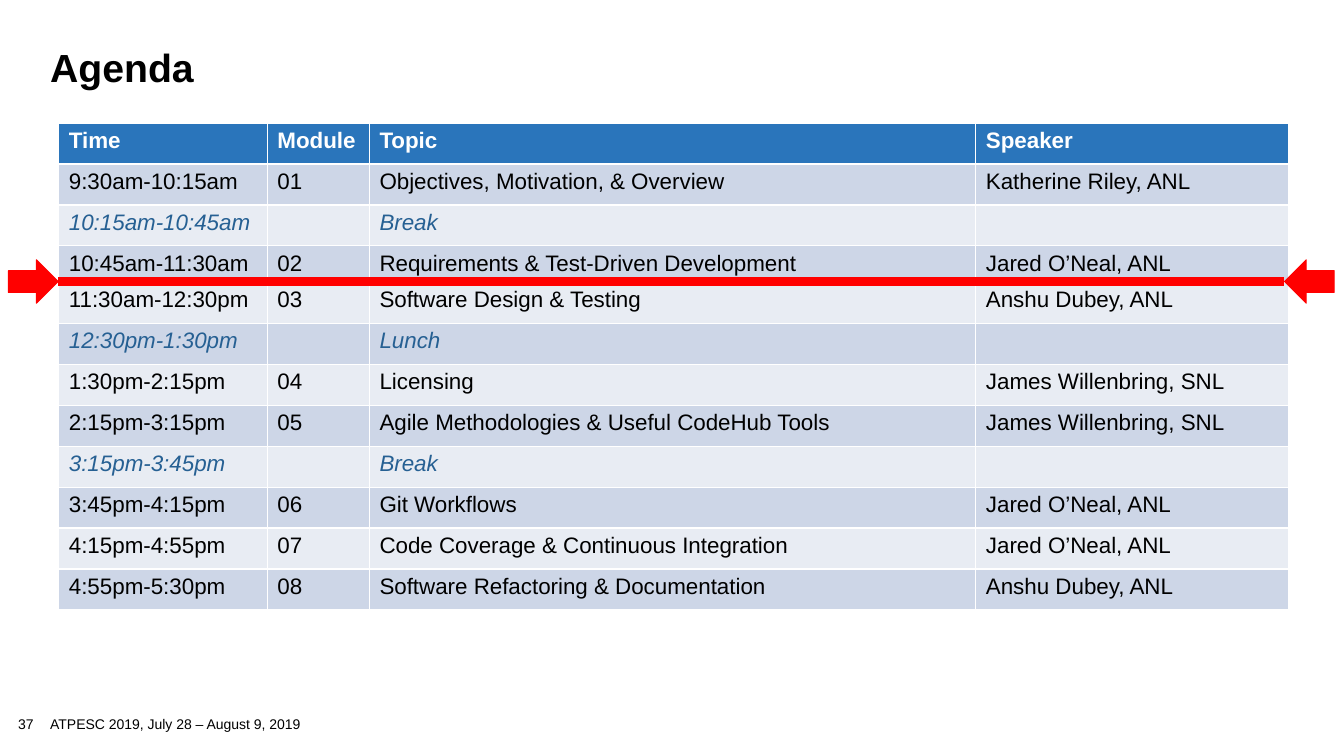
from dataclasses import dataclass

from lxml.etree import SubElement
from pptx import Presentation
from pptx.dml.color import RGBColor
from pptx.enum.shapes import MSO_CONNECTOR, MSO_SHAPE
from pptx.enum.text import MSO_ANCHOR
from pptx.oxml.ns import qn
from pptx.util import Pt


@dataclass(frozen=True)
class Theme:
    """Colours, font and type sizes of the deck."""
    font: str = "Arial"
    title: float = 28
    body: float = 16
    foot: float = 10
    ink: str = "000000"
    white: str = "FFFFFF"
    head: str = "2A75BB"
    dark: str = "CDD6E7"
    light: str = "E8ECF3"
    pause: str = "266093"
    mark: str = "FF0000"


THEME = Theme()
WIDTHS = (149, 72.9, 433.2, 223.6)
HEIGHT, SHORT = 29.2, 18.7
TIGHT = 3
AGENDA = (
    ("Time", "Module", "Topic", "Speaker"),
    ("9:30am-10:15am", "01", "Objectives, Motivation, & Overview", "Katherine Riley, ANL"),
    ("10:15am-10:45am", "", "Break", ""),
    ("10:45am-11:30am", "02", "Requirements & Test-Driven Development", "Jared O’Neal, ANL"),
    ("11:30am-12:30pm", "03", "Software Design & Testing", "Anshu Dubey, ANL"),
    ("12:30pm-1:30pm", "", "Lunch", ""),
    ("1:30pm-2:15pm", "04", "Licensing", "James Willenbring, SNL"),
    ("2:15pm-3:15pm", "05", "Agile Methodologies & Useful CodeHub Tools", "James Willenbring, SNL"),
    ("3:15pm-3:45pm", "", "Break", ""),
    ("3:45pm-4:15pm", "06", "Git Workflows", "Jared O’Neal, ANL"),
    ("4:15pm-4:55pm", "07", "Code Coverage & Continuous Integration", "Jared O’Neal, ANL"),
    ("4:55pm-5:30pm", "08", "Software Refactoring & Documentation", "Anshu Dubey, ANL"),
)


def apply(item, form):
    """Set each value of a format dict on an item."""
    for key, value in form.items():
        setattr(item, key, value)


def write(para, text, size, color, **form):
    """Add one styled run to a paragraph."""
    run = para.add_run()
    run.text = text
    apply(run.font, {"name": THEME.font, "size": Pt(size), **form})
    run.font.color.rgb = RGBColor.from_string(color)


def label(slide, box, text, size, frame=None, para=None, **form):
    """Place a line of text in a box."""
    body = slide.shapes.add_textbox(*map(Pt, box)).text_frame
    apply(body, {"word_wrap": True, **(frame or {})})
    apply(body.paragraphs[0], para or {})
    write(body.paragraphs[0], text, size, THEME.ink, **form)


def footer(slide, box):
    """Place the page number and event name."""
    left, top, width, height = box
    bare = dict.fromkeys(("margin_left", "margin_top", "margin_right", "margin_bottom"), 0)
    label(slide, (left, top + 3, 40, 11.5), "37", THEME.foot, bare, {"line_spacing": 0.9})
    label(slide, (left + 15.8, top, width - 15.8, height),
          "ATPESC 2019, July 28 – August 9, 2019", THEME.foot,
          {"vertical_anchor": MSO_ANCHOR.MIDDLE})


def agenda(slide, box):
    """Fill a box with the table of talks."""
    table = slide.shapes.add_table(len(AGENDA), len(WIDTHS), *map(Pt, box)).table
    for column, width in zip(table.columns, WIDTHS):
        column.width = Pt(width)
    for index, texts in enumerate(AGENDA):
        table.rows[index].height = Pt(SHORT if index == TIGHT else HEIGHT)
        first, pause = index == 0, not texts[1]
        fill = THEME.head if first else THEME.dark if index % 2 else THEME.light
        color = THEME.white if first else THEME.pause if pause else THEME.ink
        for place, text in enumerate(texts):
            cell = table.cell(index, place)
            cell.fill.solid()
            cell.fill.fore_color.rgb = RGBColor.from_string(fill)
            if text:
                write(cell.text_frame.paragraphs[0], text, THEME.body, color,
                      bold=first, italic=pause)


def marker(slide, box):
    """Draw a red rule across a box with an arrow at each end."""
    left, top, width, height = box
    red, arm = RGBColor.from_string(THEME.mark), 35.5
    start, end, mid = left + arm, left + width - arm, top + height / 2
    rule = slide.shapes.add_connector(MSO_CONNECTOR.STRAIGHT, *map(Pt, (start, mid, end, mid)))
    SubElement(rule.element.spPr, qn("a:effectLst"))
    rule.line.color.rgb = red
    rule.line.width = Pt(6)
    for edge, turn in ((left, 0), (end, 180)):
        arrow = slide.shapes.add_shape(MSO_SHAPE.RIGHT_ARROW, *map(Pt, (edge, top, arm, height)))
        arrow.rotation = turn
        arrow.shadow.inherit = False
        arrow.fill.solid()
        arrow.fill.fore_color.rgb = red
        arrow.line.color.rgb = red
        arrow.line.width = Pt(0.75)


def main():
    """Build and save the agenda slide."""
    deck = Presentation()
    apply(deck, {"slide_width": Pt(960), "slide_height": Pt(540)})
    slide = deck.slides.add_slide(deck.slide_layouts[6])
    footer(slide, (13, 509.8, 277.2, 14.4))
    label(slide, (28.8, 32.4, 895.7, 72), "Agenda", THEME.title,
          para={"line_spacing": 0.85}, bold=True)
    agenda(slide, (42, 88, sum(WIDTHS), HEIGHT * (len(AGENDA) - 1) + SHORT))
    marker(slide, (6, 185.6, 947, 31))
    deck.save("out.pptx")


if __name__ == "__main__":
    main()
